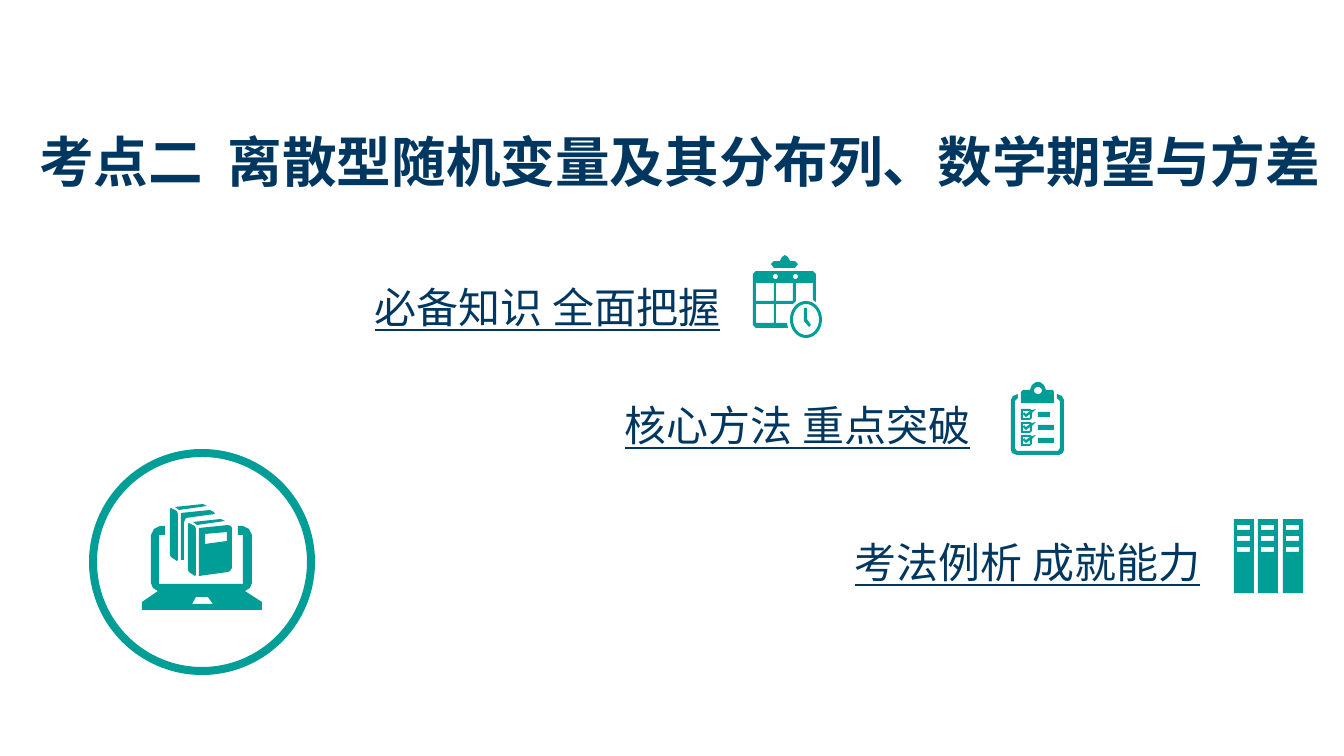
from math import cos, pi, sin

from lxml.etree import SubElement
from pptx import Presentation
from pptx.dml.color import RGBColor
from pptx.enum.shapes import MSO_SHAPE
from pptx.enum.text import MSO_ANCHOR, PP_ALIGN
from pptx.oxml.ns import qn
from pptx.util import Pt

COLORS = {"teal": "009E96", "navy": "003760"}
CJK_FONT = "Noto Sans CJK SC"
EMU_PER_PX = 914400 / 100.8


def emu(px):
    return round(px * EMU_PER_PX)


def rgb(name):
    return RGBColor.from_string(COLORS[name])


def box(x, y, w, h):
    return [(x, y), (x + w, y), (x + w, y + h), (x, y + h)]


def oval(x, y, w, h, steps=32):
    angles = [2 * pi * i / steps for i in range(steps)]
    return [(x + w / 2 * (1 + cos(a)), y + h / 2 * (1 + sin(a))) for a in angles]


def shift(outline, dx, dy):
    return [(x + dx, y + dy) for x, y in outline]


class SlideBuilder:
    def __init__(self, slide):
        self.shapes = slide.shapes

    def paint(self, shape):
        shape.shadow.inherit = False
        shape.fill.solid()
        shape.fill.fore_color.rgb = rgb("teal")
        shape.line.fill.background()

    def ring(self, x, y, size, thickness):
        ring = self.shapes.add_shape(MSO_SHAPE.DONUT, emu(x), emu(y), emu(size), emu(size))
        ring.adjustments[0] = thickness / size
        self.paint(ring)

    def icon(self, outlines):
        """Draw closed outlines as one shape; an outline inside another is a hole."""
        builder = None
        for outline in outlines:
            start, *rest = [(emu(x), emu(y)) for x, y in outline]
            if builder is None:
                builder = self.shapes.build_freeform(*start, scale=1.0)
            else:
                builder.move_to(*start)
            builder.add_line_segments(rest, close=True)
        self.paint(builder.convert_to_shape())

    def text(self, x, y, w, h, words, size, font, align=PP_ALIGN.LEFT, bold=False, underline=False):
        frame = self.shapes.add_textbox(emu(x), emu(y), emu(w), emu(h)).text_frame
        frame.word_wrap = True
        frame.vertical_anchor = MSO_ANCHOR.MIDDLE
        frame.margin_left = frame.margin_right = emu(10)
        frame.margin_top = frame.margin_bottom = 0
        frame.text = words
        paragraph = frame.paragraphs[0]
        paragraph.alignment = align
        run = paragraph.runs[0]
        run.font.size = Pt(size)
        run.font.name = font
        run.font.bold = bold
        run.font.underline = underline
        run.font.color.rgb = rgb("navy")
        SubElement(run.font._element, qn("a:ea"), typeface=CJK_FONT)


def binders():
    outlines = []
    for i in range(3):
        x = 1234 + 49 * i // 2
        outlines.append(box(x, 519, 20, 74))
        outlines += [box(x + 3, 525 + 11 * row, 13, 5) for row in range(3)]
    return outlines


def checklist():
    board = [(1018, 398), (1015, 401), (1015, 448), (1017, 451), (1058, 451), (1060, 448),
             (1060, 401), (1057, 398), (1057, 394), (1062, 396), (1064, 400), (1064, 450),
             (1063, 453), (1059, 455), (1017, 455), (1012, 453), (1011, 450), (1011, 400),
             (1013, 396), (1018, 394)]
    clip = [(1021, 403), (1021, 392), (1023, 390), (1030, 390), (1032, 385), (1036, 382),
            (1040, 382), (1044, 385), (1046, 390), (1053, 390), (1054, 392), (1054, 403)]
    tick_box = [(0, 0), (9, 0), (11, 1), (15, 0), (11, 4), (11, 9), (9, 11), (0, 11)]
    tick_gap = [(2, 2), (9, 2), (5, 5), (3, 3), (2, 5), (5, 8), (9, 5), (9, 9), (2, 9)]
    outlines = [board, clip, oval(1034, 387, 8, 7)]
    for row, bar_width in enumerate((12, 16, 16)):
        top = 409 + 13 * row
        outlines += [shift(tick_box, 1021, top), shift(tick_gap, 1021, top),
                     box(1038, top + 3, bar_width, 5)]
    return outlines


def laptop_with_books():
    laptop = [(159, 535), (165, 535), (165, 526), (160, 526), (154, 529), (151, 535),
              (151, 583), (153, 588), (158, 591), (142, 602), (142, 610), (262, 610),
              (262, 602), (245, 591), (250, 588), (252, 583), (252, 535), (249, 529),
              (243, 526), (238, 526), (238, 535), (243, 535), (243, 584), (159, 584)]
    trackpad = [(196, 597), (208, 597), (213, 604), (192, 604)]
    page_top = [(175, 507), (203, 504), (207, 506), (179, 510)]
    spine = [(171, 508), (177, 511), (178, 514), (178, 560), (177, 561), (171, 557),
             (170, 555), (170, 509)]
    back_cover = [(181, 513), (210, 510), (214, 512), (215, 514), (186, 518), (184, 522),
                  (184, 560), (181, 560)]
    front_cover = [(199, 528), (228, 525), (231, 526), (232, 528), (232, 568), (230, 571),
                   (228, 572), (199, 576)]
    label = [(205, 534), (227, 532), (227, 541), (205, 544)]
    books = [shift(part, dx, dy) for dx, dy in ((0, 0), (18, 15)) for part in (page_top, spine)]
    return [laptop, trackpad, back_cover, front_cover, label] + books


def calendar_with_clock():
    clip = [(771, 264), (774, 261), (780, 261), (782, 257), (785, 255), (788, 257),
            (790, 261), (795, 261), (798, 264), (795, 268), (774, 268)]
    sheet = [(753, 274), (756, 271), (813, 271), (816, 274), (816, 302), (813, 300),
             (813, 283), (796, 283), (796, 301), (793, 304), (776, 304), (776, 323),
             (787, 323), (788, 328), (756, 328), (753, 325)]
    days = [box(756, 283, 18, 18), box(756, 304, 18, 19), box(776, 283, 17, 18)]
    pegs = [oval(x, 274, 5, 5) for x in (773, 793)]
    clock = [oval(790, 301, 32, 37), oval(793, 304, 26, 31)]
    hands = [(804, 308), (807, 308), (807, 319), (811, 325), (809, 327), (804, 321)]
    return [clip, sheet, hands] + days + pegs + clock


def main():
    presentation = Presentation()
    presentation.slide_width, presentation.slide_height = emu(1344), emu(756)
    builder = SlideBuilder(presentation.slides.add_slide(presentation.slide_layouts[6]))

    builder.ring(89, 449, 226, 8)
    builder.text(13, 123, 1333, 76, "考点二  离散型随机变量及其分布列、数学期望与方差",
                 39, "Arial", PP_ALIGN.CENTER, bold=True)
    for x, y, heading in ((365, 276, "必备知识 全面把握"),
                          (615, 394, "核心方法 重点突破"),
                          (845, 531, "考法例析 成就能力")):
        builder.text(x, y, 372, 61, heading, 30, CJK_FONT, underline=True)
    for outlines in (binders(), checklist(), laptop_with_books(), calendar_with_clock()):
        builder.icon(outlines)

    presentation.save("out.pptx")


if __name__ == "__main__":
    main()
